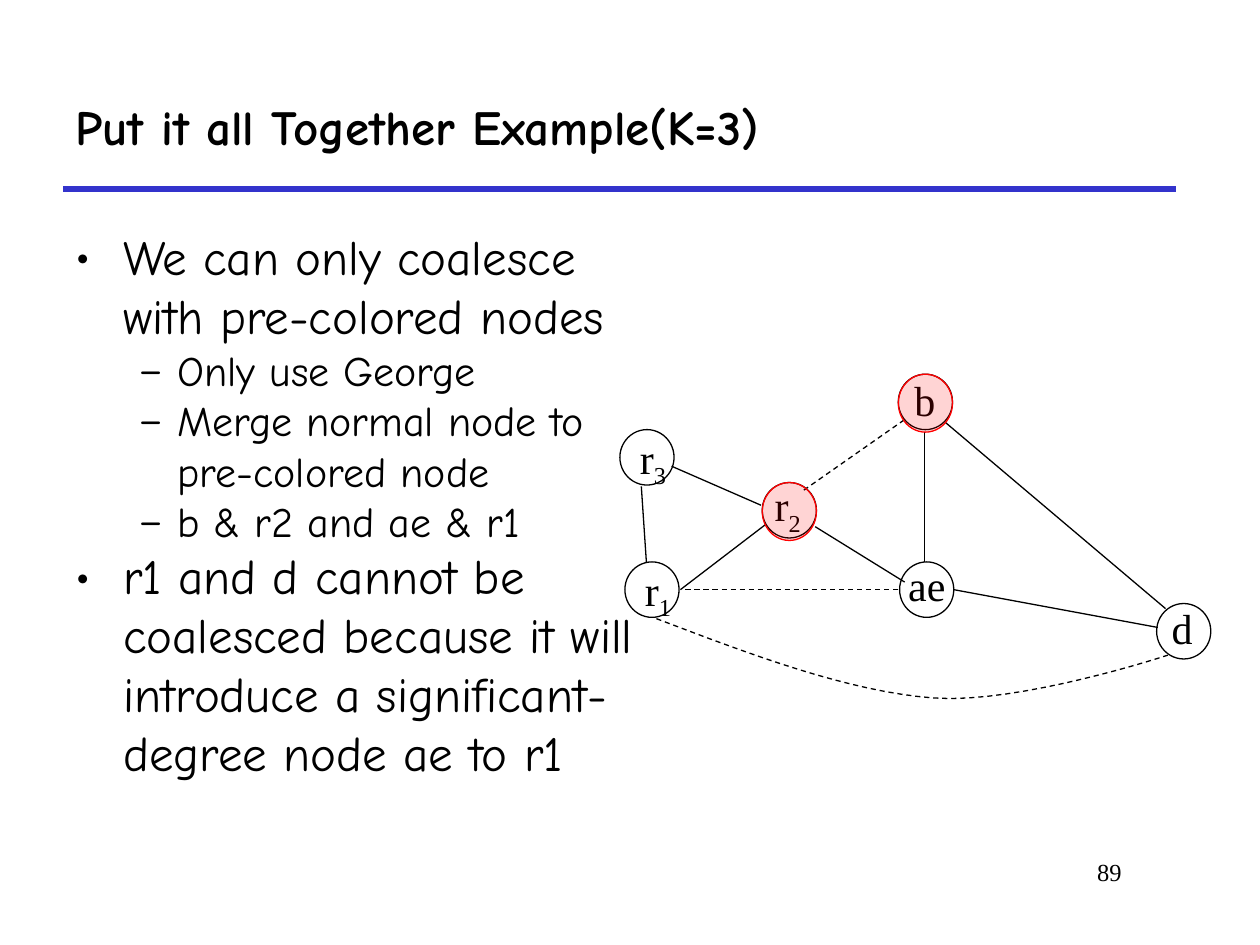
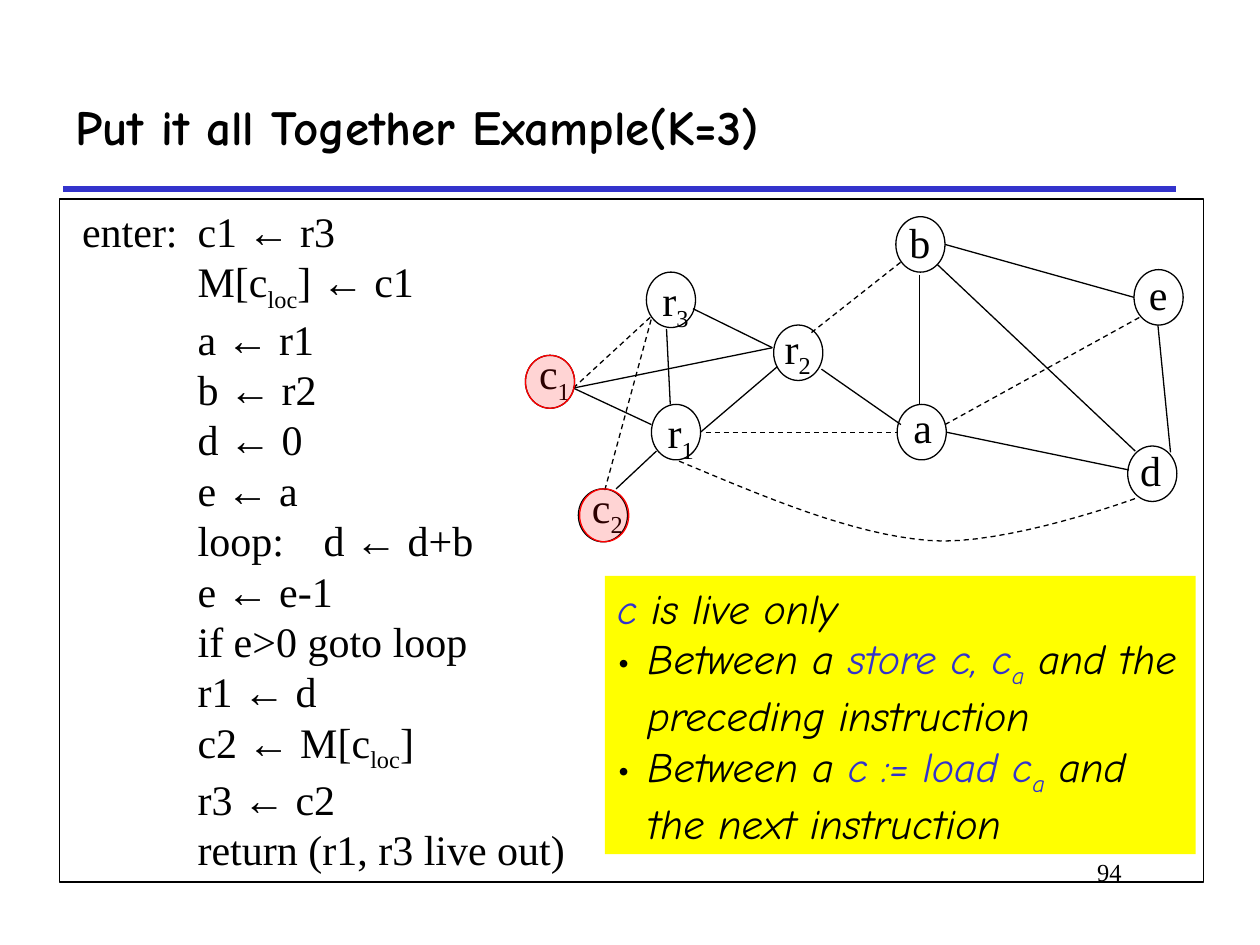
from lxml import etree
from pptx import Presentation
from pptx.dml.color import RGBColor
from pptx.enum.dml import MSO_LINE
from pptx.enum.shapes import MSO_CONNECTOR, MSO_SHAPE
from pptx.enum.text import MSO_ANCHOR, PP_ALIGN
from pptx.oxml.ns import qn
from pptx.util import Inches, Pt

OVAL, RECT, STRAIGHT = MSO_SHAPE.OVAL, MSO_SHAPE.RECTANGLE, MSO_CONNECTOR.STRAIGHT
DASH, MIDDLE, RIGHT = MSO_LINE.DASH, MSO_ANCHOR.MIDDLE, PP_ALIGN.RIGHT

COLORS = {"ink": "000000", "accent": "3333CC", "red": "FF0000", "note": "FFFF00"}
HAND, SERIF = "Comic Neue", "Times New Roman"
TITLE = "Put it all Together Example(K=3)"
NODE_HEIGHT = 0.44
LABEL_WIDTH = 0.6

# Each node: label, optional subscript, oval left and top, label left and top
MERGED_NODES = [
    ("r", "3", 4.92, 3.41, 4.98, 3.38), ("r", "1", 4.96, 4.46, 5.02, 4.43),
    ("ae", "", 7.14, 4.46, 7.11, 4.39), ("r", "2", 6.05, 3.83, 6.05, 3.76),
    ("d", "", 9.18, 4.79, 9.2, 4.73), ("b", "", 7.13, 2.97, 7.16, 2.92),
]
MERGED_EDGES = [
    (5.33, 3.7, 6.04, 4.01), (5.09, 3.86, 5.13, 4.46), (5.4, 4.68, 6.08, 4.16),
    (7.34, 3.43, 7.34, 4.46), (7.57, 4.68, 9.19, 4.98), (7.5, 3.35, 9.25, 4.83),
    (6.47, 4.18, 7.18, 4.62),
]
MERGED_MOVES = [(6.38, 3.89, 7.18, 3.33), (5.44, 4.68, 7.14, 4.68)]
MERGED_CURVE = [(5.21, 4.91), (5.97, 5.2), (6.74, 5.49), (7.41, 5.54),
                (8.09, 5.59), (9.27, 5.2), (9.27, 5.2)]

SPILL_NODES = [
    ("r", "3", 5.13, 2.16, 5.16, 2.13), ("r", "1", 5.17, 3.21, 5.2, 3.18),
    ("a", "", 7.12, 3.21, 7.15, 3.14), ("r", "2", 6.14, 2.58, 6.13, 2.51),
    ("d", "", 8.95, 3.54, 8.95, 3.48), ("b", "", 7.11, 1.72, 7.12, 1.67),
    ("e", "", 9, 2.14, 9.02, 2.08),
    ("c", "2", 4.59, 3.88, 4.6, 3.77), ("c", "1", 4.17, 2.82, 4.18, 2.71),
]
SPILL_EDGES = [
    (5.5, 2.45, 6.13, 2.76), (5.29, 2.61, 5.32, 3.21), (5.56, 3.43, 6.17, 2.91),
    (7.3, 2.18, 7.3, 3.21), (7.51, 3.43, 8.96, 3.73), (9.29, 3.59, 9.19, 2.58),
    (7.5, 1.94, 9, 2.36), (7.44, 2.1, 9.01, 3.58), (6.52, 2.93, 7.15, 3.37),
    (4.89, 3.88, 5.21, 3.58), (4.55, 3.08, 6.13, 2.76), (4.55, 3.08, 5.17, 3.37),
]
SPILL_MOVES = [
    (6.44, 2.64, 7.15, 2.08), (5.6, 3.43, 7.12, 3.43), (7.5, 3.37, 9.06, 2.51),
    (4.8, 3.89, 5.17, 2.53), (4.55, 3.08, 5.17, 2.51),
]
SPILL_CURVE = [(5.39, 3.66), (6.08, 3.95), (6.76, 4.24), (7.37, 4.29),
               (7.97, 4.34), (9.03, 3.95), (9.03, 3.95)]

# A span is (text, style letters): s subscript, a accent colour
CODE = [
    [(" enter:\tc1 ← r3", "")],
    [("\tM[c", ""), ("loc", "s"), ("] ← c1", "")],
    [("\ta ← r1", "")], [("\tb ← r2", "")], [("\td ← 0", "")], [("\te ← a", "")],
    [("\tloop:\td ← d+b", "")], [("\te ← e-1", "")], [("\tif e>0 goto loop", "")],
    [("\tr1 ← d", "")],
    [("\tc2 ← M[c", ""), ("loc", "s"), ("]", "")],
    [("\tr3 ← c2", "")], [("\treturn (r1, r3 live out)", "")],
]
NOTE = [
    [("c", "a"), (" is live only", "")],
    [("Between a ", ""), ("store c, c", "a"), ("a", "as"),
     (" and the preceding instruction", "")],
    [("Between a ", ""), ("c := load c", "a"), ("a", "as"),
     (" and the next instruction", "")],
]
# Each point: level, text
POINTS = [
    (0, "We can only coalesce with pre-colored nodes"),
    (1, "Only use George"),
    (1, "Merge normal node to pre-colored node"),
    (1, "b & r2 and ae & r1"),
    (0, "r1 and d cannot be coalesced because it will introduce a "
        "significant-degree node ae to r1"),
]
# Bullet, text indent, hanging width and size of each level
LEVELS = [("•", 0.38, 0.38, 28), ("–", 0.81, 0.31, 24)]


def color(name):
    return RGBColor.from_string(COLORS[name])


def style_line(line, name="ink", width=0.75, dashed=False):
    line.color.rgb = color(name)
    line.width = Pt(width)
    if dashed:
        line.dash_style = DASH


def format_span(span, font, size, style=""):
    span.font.name = font
    span.font.size = Pt(size)
    span.font.bold = "b" in style
    span.font.italic = "i" in style
    span.font.color.rgb = color("accent" if "a" in style else "ink")
    if "s" in style:
        span.font._element.set("baseline", "-25000")


def add_box(page, left, top, width, height):
    box = page.shapes.add_textbox(*map(Inches, (left, top, width, height)))
    box.text_frame.word_wrap = True
    return box


def write_line(para, text, font, size, style=""):
    para.text = text
    format_span(para.runs[0], font, size, style)


def write_spans(para, spans, font, size, style=""):
    for text, extra in spans:
        span = para.add_run()
        span.text = text
        format_span(span, font, size, style + extra)


def paragraphs(frame, count):
    return [frame.paragraphs[0]] + [frame.add_paragraph() for _ in range(count - 1)]


def set_bullet(para, char, indent, hanging):
    props = para._p.get_or_add_pPr()
    props.set("marL", str(Inches(indent)))
    props.set("indent", str(-Inches(hanging)))
    etree.SubElement(props, qn("a:buFont")).set("typeface", HAND)
    etree.SubElement(props, qn("a:buChar")).set("char", char)


def set_tabs(para, *stops):
    tabs = etree.SubElement(para._p.get_or_add_pPr(), qn("a:tabLst"))
    for stop in stops:
        etree.SubElement(tabs, qn("a:tab"), pos=str(Inches(stop)), algn="l")


def add_edge(page, x1, y1, x2, y2, name="ink", width=0.75, dashed=False):
    edge = page.shapes.add_connector(STRAIGHT, *map(Inches, (x1, y1, x2, y2)))
    style_line(edge.line, name, width, dashed)
    etree.SubElement(edge._element.spPr, qn("a:effectLst"))


def bezier(points, steps=16):
    """Points along a cubic curve, after its start."""
    for step in range(1, steps + 1):
        t = step / steps
        weights = ((1 - t) ** 3, 3 * t * (1 - t) ** 2, 3 * t * t * (1 - t), t ** 3)
        yield tuple(Inches(sum(w * p[axis] for w, p in zip(weights, points)))
                    for axis in (0, 1))


def add_curve(page, points):
    builder = page.shapes.build_freeform(*map(Inches, points[0]))
    for first in (0, 3):
        builder.add_line_segments(bezier(points[first:first + 4]), close=False)
    curve = builder.convert_to_shape()
    curve.shadow.inherit = False
    curve.fill.background()
    style_line(curve.line, dashed=True)


def add_shape(page, kind, left, top, width, height, fill=None, outline="ink"):
    shape = page.shapes.add_shape(kind, *map(Inches, (left, top, width, height)))
    shape.shadow.inherit = False
    if fill:
        shape.fill.solid()
        shape.fill.fore_color.rgb = color(fill)
    else:
        shape.fill.background()
    if outline:
        style_line(shape.line, outline)
    else:
        shape.line.fill.background()
    return shape


def add_node(page, node, width):
    label, subscript, left, top, label_left, label_top = node
    height = 0.42 if label == "c" else NODE_HEIGHT
    add_shape(page, OVAL, left, top, width, height)
    box = add_box(page, label_left, label_top, LABEL_WIDTH,
                  0.56 if subscript else 0.5)
    spans = [(label, "")] + ([(subscript, "s")] if subscript else [])
    write_spans(box.text_frame.paragraphs[0], spans, SERIF, 24)


def add_highlight(page, left, top, width, height):
    oval = add_shape(page, OVAL, left, top, width, height, "red", "red")
    tint = oval._element.spPr.find(qn("a:solidFill"))[0]
    etree.SubElement(tint, qn("a:alpha")).set("val", "17000")


def add_graph(page, nodes, width, edges, moves, curve):
    for node in nodes:
        add_node(page, node, width)
    for edge in edges:
        add_edge(page, *edge)
    for move in moves:
        add_edge(page, *move, dashed=True)
    add_curve(page, curve)


def add_page(deck, number):
    """Page with the shared rule, title and page number."""
    page = deck.slides.add_slide(deck.slide_layouts[6])
    add_edge(page, 0.5, 1.5, 9.33, 1.5, "accent", 3)
    title = add_box(page, 0.5, 0.5, 8.83, 1)
    title.text_frame.vertical_anchor = MIDDLE
    write_line(title.text_frame.paragraphs[0], TITLE, HAND, 28, "b")
    footer = add_box(page, 6.92, 6.75, 2.08, 0.5).text_frame.paragraphs[0]
    footer.alignment = RIGHT
    write_line(footer, number, SERIF, 14)
    return page


def add_points(page):
    frame = add_box(page, 0.5, 1.75, 4.77, 5.08).text_frame
    for para, (level, text) in zip(paragraphs(frame, len(POINTS)), POINTS):
        char, indent, hanging, size = LEVELS[level]
        write_line(para, text, HAND, size)
        set_bullet(para, char, indent, hanging)


def add_code(page):
    add_shape(page, RECT, 0.47, 1.58, 9.08, 5.42)
    frame = add_box(page, 0.47, 1.58, 9.08, 5.42).text_frame
    for para, spans in zip(paragraphs(frame, len(CODE)), CODE):
        set_tabs(para, 1, 2)
        write_spans(para, spans, SERIF, 24)


def add_note(page):
    add_shape(page, RECT, 4.8, 4.57, 4.69, 2.21, "note", None)
    frame = add_box(page, 4.8, 4.57, 4.69, 2.21).text_frame
    for row, (para, spans) in enumerate(zip(paragraphs(frame, len(NOTE)), NOTE)):
        write_spans(para, spans, HAND, 24, "i")
        if row:
            set_bullet(para, "•", 0.24, 0.24)


def main():
    deck = Presentation()
    deck.slide_width, deck.slide_height = Inches(10), Inches(7.5)

    # Coalescing with pre-colored nodes
    page = add_page(deck, "89")
    add_points(page)
    add_graph(page, MERGED_NODES, 0.43, MERGED_EDGES, MERGED_MOVES, MERGED_CURVE)
    for left, top in ((7.13, 2.97), (6.05, 3.83)):
        add_highlight(page, left, top, 0.43, 0.46)

    # Program after spilling c
    page = add_page(deck, "94")
    add_code(page)
    add_graph(page, SPILL_NODES, 0.39, SPILL_EDGES, SPILL_MOVES, SPILL_CURVE)
    for left, top in ((4.6, 3.88), (4.17, 2.82)):
        add_highlight(page, left, top, 0.39, 0.42)
    add_note(page)

    deck.save("out.pptx")


if __name__ == "__main__":
    main()
